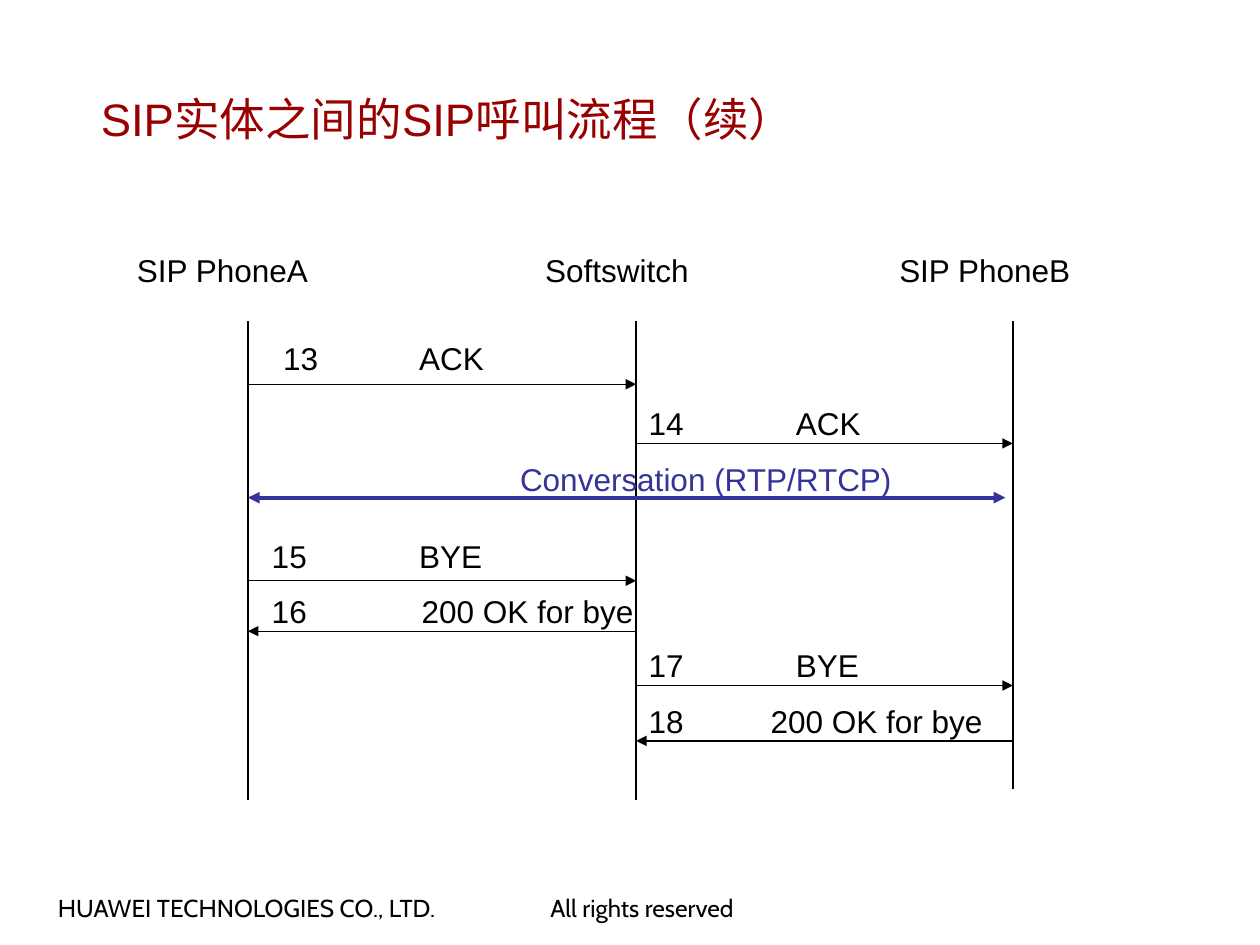
from lxml.etree import SubElement
from pptx import Presentation
from pptx.dml.color import RGBColor
from pptx.enum.shapes import MSO_CONNECTOR
from pptx.enum.text import MSO_ANCHOR, MSO_AUTO_SIZE
from pptx.oxml.ns import qn
from pptx.util import Pt

COLORS = {"title": "990000", "ink": "000000", "media": "333399"}
LABEL_H = 28.8

# name, label left, label width, lifeline x, lifeline bottom
ENTITIES = [
    ("SIP PhoneA", 0.3, 112.3, 70.8, 317.2),
    ("Softswitch", 233.6, 98.6, 292.6, 317.2),
    ("SIP PhoneB", 435.9, 112.3, 507.9, 310.7),
]
LIFELINE_TOP = 43.6
LIFELINE_X = [entity[3] for entity in ENTITIES]

TEXT_WIDTHS = {"ACK": 52, "BYE": 51, "200 OK for bye": 136}
# number, text, sender, receiver, arrow y, label rise, number indent, text indent
MESSAGES = [
    ("13", "ACK", 0, 1, 79.6, 29.5, 13, 90.7),
    ("14", "ACK", 1, 2, 113.4, 25.9, 0, 84.2),
    ("15", "BYE", 0, 1, 191.9, 28.8, 6.5, 90.7),
    ("16", "200 OK for bye", 1, 0, 220.7, 26.2, 6.5, 92.2),
    ("17", "BYE", 1, 2, 251.7, 25.9, 0, 84.2),
    ("18", "200 OK for bye", 2, 1, 283.4, 25.9, 0, 69.8),
]


def add_text(slide, text, x, y, w, h=LABEL_H, color="ink", size=18,
             font="Arial", inset=(7.2, 3.6), **frame):
    tf = slide.shapes.add_textbox(Pt(x), Pt(y), Pt(w), Pt(h)).text_frame
    dx, dy = (Pt(v) for v in inset)
    settings = {"margin_left": dx, "margin_right": dx, "margin_top": dy,
                "margin_bottom": dy, "word_wrap": False,
                "auto_size": MSO_AUTO_SIZE.SHAPE_TO_FIT_TEXT}
    for name, value in {**settings, **frame}.items():
        setattr(tf, name, value)
    r = tf.paragraphs[0].add_run()
    r.text = text
    r.font.name = font
    r.font.size = Pt(size)
    r.font.color.rgb = RGBColor.from_string(COLORS[color])


def add_line(slide, x1, y1, x2, y2, color="ink", width=0.75, ends=()):
    """Draw a line; ends lists the arrowhead elements, headEnd before tailEnd."""
    line = slide.shapes.add_connector(
        MSO_CONNECTOR.STRAIGHT, Pt(x1), Pt(y1), Pt(x2), Pt(y2))
    line.line.color.rgb = RGBColor.from_string(COLORS[color])
    line.line.width = Pt(width)
    sp_pr = line._element.spPr
    for end in ends:
        SubElement(sp_pr.find(qn("a:ln")), qn(f"a:{end}"), type="triangle")
    SubElement(sp_pr, qn("a:effectLst"))


def add_title(slide, x, y, w, h):
    add_text(slide, "SIP实体之间的SIP呼叫流程（续）", x, y, w, h, "title", 26,
             inset=(6.5, 3), word_wrap=True, vertical_anchor=MSO_ANCHOR.MIDDLE)


def add_entities(slide, x, y):
    for name, left, width, line_x, bottom in ENTITIES:
        add_line(slide, x + line_x, y + LIFELINE_TOP, x + line_x, y + bottom)
        add_text(slide, name, x + left, y, width)


def add_conversation(slide, x, y):
    add_line(slide, x + 503.6, y + 144.4, x + LIFELINE_X[0], y + 144.4,
             "media", 2.25, ("headEnd", "tailEnd"))
    add_text(slide, "Conversation (RTP/RTCP)", x + 219.2, y + 119.2, 232.6,
             color="media")


def add_messages(slide, x, y):
    for number, text, sender, receiver, arrow_y, rise, num_dx, text_dx in MESSAGES:
        start, end = x + LIFELINE_X[sender], x + LIFELINE_X[receiver]
        left, top = min(start, end), y + arrow_y - rise
        add_line(slide, start, y + arrow_y, end, y + arrow_y, ends=("tailEnd",))
        add_text(slide, text, left + text_dx, top, TEXT_WIDTHS[text])
        add_text(slide, number, left + num_dx, top, 34.6)


def add_call_flow(slide, x, y):
    add_entities(slide, x, y)
    add_conversation(slide, x, y)
    add_messages(slide, x, y)


def add_footer(slide, x, y, h):
    style = {"size": 14, "font": "Cabin", "inset": (6.5, 3)}
    add_text(slide, "HUAWEI TECHNOLOGIES CO., LTD.", x, y, 249, h, **style)
    add_text(slide, "All rights reserved", x + 281.5, y, 165.6, h,
             word_wrap=True, **style)


def main():
    prs = Presentation()
    prs.slide_width, prs.slide_height = Pt(720), Pt(540)
    slide = prs.slides.add_slide(prs.slide_layouts[6])
    add_footer(slide, 26.6, 507.2, 23)
    add_call_flow(slide, 70.9, 140)
    add_title(slide, 51.1, 49, 609.1, 37.4)
    prs.save("out.pptx")


if __name__ == "__main__":
    main()
